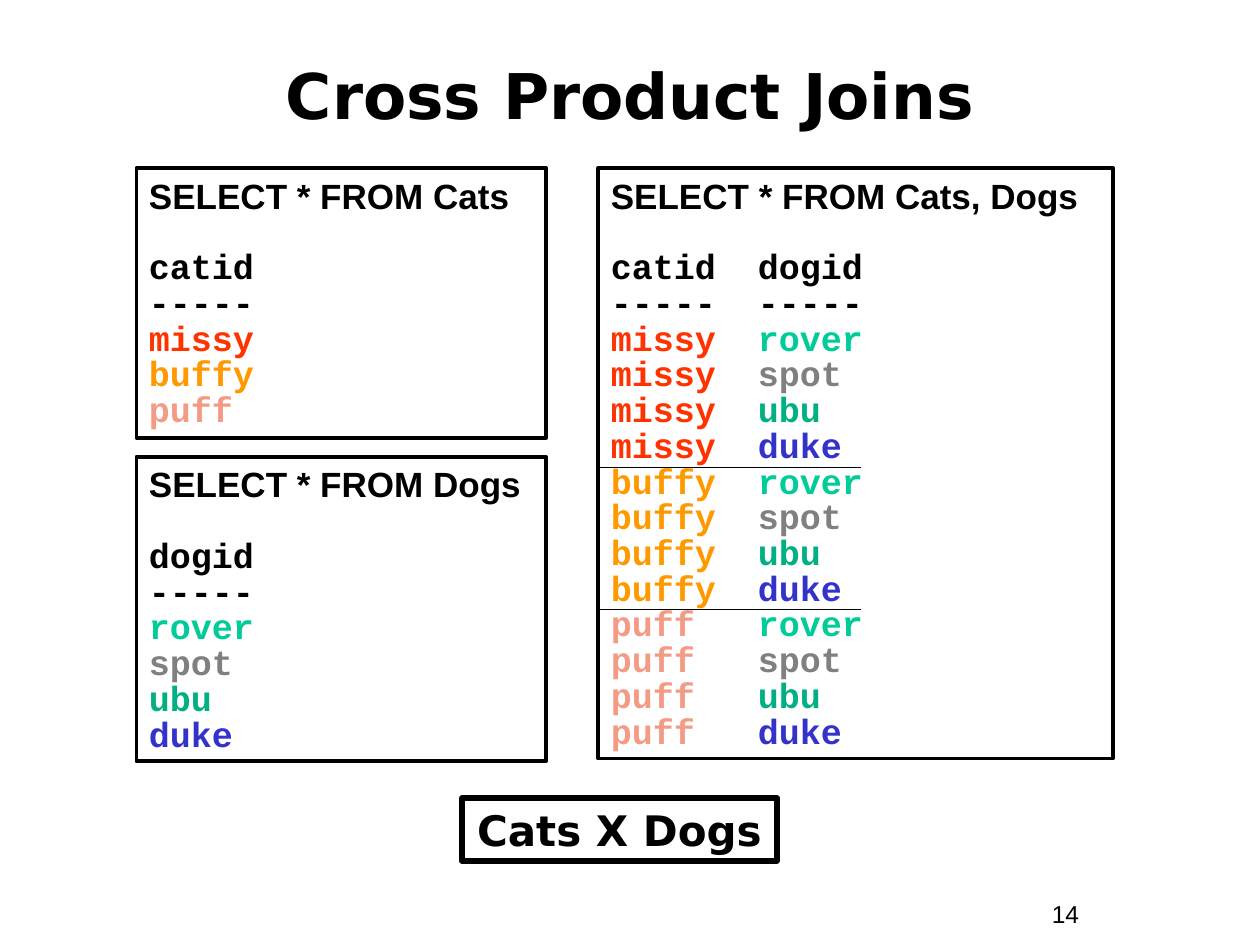
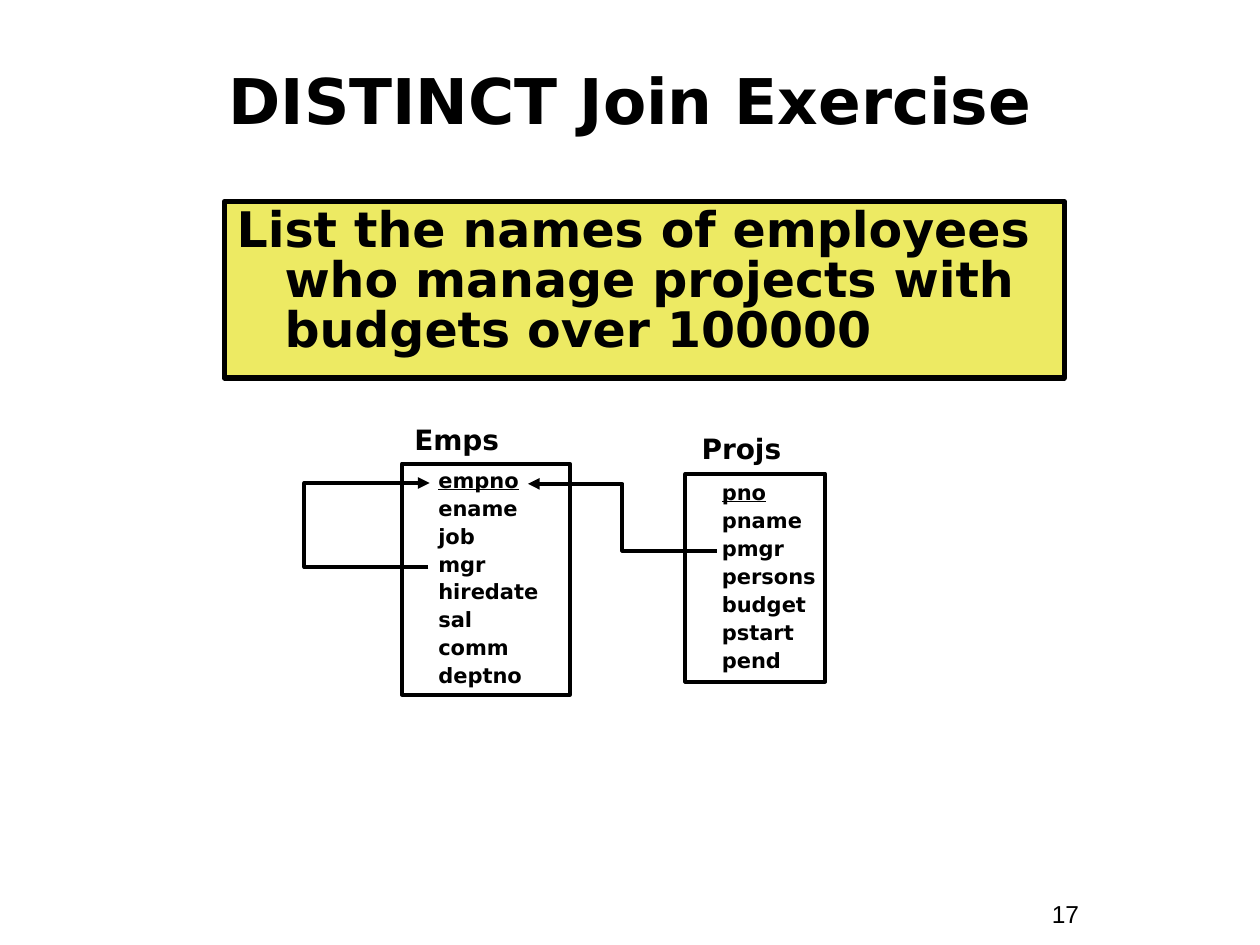
import itertools

import pptx
import pptx.dml.color
import pptx.enum.shapes
import pptx.enum.text
import pptx.oxml
import pptx.oxml.ns
import pptx.util

RGBColor = pptx.dml.color.RGBColor
BLACK = RGBColor(0x00, 0x00, 0x00)
YELLOW = RGBColor(0xED, 0xEA, 0x63)
RED = RGBColor(0xFF, 0x33, 0x00)
ORANGE = RGBColor(0xFF, 0x99, 0x00)
SALMON = RGBColor(0xF4, 0x9B, 0x86)
MINT = RGBColor(0x00, 0xCC, 0x99)
GRAY = RGBColor(0x80, 0x80, 0x80)
GREEN = RGBColor(0x00, 0xB0, 0x82)
BLUE = RGBColor(0x33, 0x33, 0xCC)

COLS, ROWS = 120, 90
CATS = [("missy", RED), ("buffy", ORANGE), ("puff", SALMON)]
DOGS = [("rover", MINT), ("spot", GRAY), ("ubu", GREEN), ("duke", BLUE)]

Pt = pptx.util.Pt
Inches = pptx.util.Inches
ALIGN = pptx.enum.text.PP_ALIGN
ANCHOR = pptx.enum.text.MSO_ANCHOR
CONNECTOR = pptx.enum.shapes.MSO_CONNECTOR

TITLE = {"name": "DejaVu Sans", "size": Pt(36), "bold": True}
PROMPT = {**TITLE, "size": Pt(28)}
CAPTION = {**TITLE, "size": Pt(24)}
LABEL = {**TITLE, "size": Pt(16)}
FIELD = {**TITLE, "size": Pt(12), "underline": False}
KEY = {**FIELD, "underline": True}
QUERY = {"name": "Arial", "size": Pt(20), "bold": True}
CODE = {**QUERY, "name": "Courier New"}
NUMBER = {"name": "Arial", "size": Pt(14)}


def apply(obj, values):
    for key, value in values.items():
        setattr(obj, key, value)


class Deck:
    def __init__(self):
        self.prs = pptx.Presentation()
        self.prs.slide_width = Inches(10)
        self.prs.slide_height = Inches(7.5)

    def x(self, col):
        return round(self.prs.slide_width * col / COLS)

    def y(self, row):
        return round(self.prs.slide_height * row / ROWS)

    def place(self, col, row, cols, rows):
        return self.x(col), self.y(row), self.x(cols), self.y(rows)

    def slide(self, title, number, row, rows):
        self.s = self.prs.slides.add_slide(self.prs.slide_layouts[5])
        sp = self.s.shapes.title
        apply(sp, dict(zip(("left", "top", "width", "height"), self.place(4, row, 112, rows))))
        self.frame(sp.text_frame, vertical_anchor=ANCHOR.MIDDLE)
        self.paragraph(sp.text_frame, [(title, BLACK)], TITLE, alignment=ALIGN.CENTER)
        self.text(99, 85, 11, 4, number, NUMBER)

    def frame(self, tf, **values):
        apply(tf, {
            "word_wrap": True, "auto_size": pptx.enum.text.MSO_AUTO_SIZE.NONE,
            "vertical_anchor": ANCHOR.TOP,
            "margin_left": Inches(0.1), "margin_right": Inches(0.1),
            "margin_top": Inches(0.05), "margin_bottom": Inches(0.05), **values,
        })

    def paragraph(self, tf, runs, font, indent=None, tab=None, **values):
        p = tf.paragraphs[0]
        if p.runs:
            p = tf.add_paragraph()
        pPr = p._p.get_or_add_pPr()
        if indent:
            pPr.set("marL", str(Inches(indent[0])))
            pPr.set("indent", str(Inches(indent[1])))
        if tab:
            tabs = pptx.oxml.parse_xml(
                f'<a:tabLst {pptx.oxml.ns.nsdecls("a")}><a:tab pos="{tab}" algn="l"/></a:tabLst>')
            pPr.append(tabs)
        apply(p, {"alignment": ALIGN.LEFT, **values})
        for text, color in runs:
            r = p.add_run()
            r.text = text
            apply(r.font, font)
            r.font.color.rgb = color

    def text(self, col, row, cols, rows, text, font, **values):
        sp = self.s.shapes.add_textbox(*self.place(col, row, cols, rows))
        self.frame(sp.text_frame)
        self.paragraph(sp.text_frame, [(text, BLACK)], font, **values)

    def box(self, col, row, cols, rows, line=2.25, fill=None, **values):
        sp = self.s.shapes.add_shape(
            pptx.enum.shapes.MSO_SHAPE.RECTANGLE, *self.place(col, row, cols, rows))
        sp.shadow.inherit = False
        if fill is None:
            sp.fill.background()
        else:
            sp.fill.solid()
            sp.fill.fore_color.rgb = fill
        sp.line.color.rgb = BLACK
        sp.line.width = Pt(line)
        self.frame(sp.text_frame, **values)
        return sp.text_frame

    def listing(self, col, row, cols, rows, query, heads, records):
        tf = self.box(col, row, cols, rows)
        self.paragraph(tf, [(query, BLACK)], QUERY)
        lines = [[(head, BLACK) for head in heads], [("-----", BLACK) for _ in heads], *records]
        for i, cells in enumerate(lines):
            runs = [(text if j == 0 else "\t" + text, color)
                    for j, (text, color) in enumerate(cells)]
            self.paragraph(tf, runs, CODE, tab=Pt(84) if len(cells) > 1 else None,
                           line_spacing=0.85, space_before=Pt(0 if i else 20))

    def entity(self, col, row, cols, rows, fields):
        tf = self.box(col, row, cols, rows, vertical_anchor=ANCHOR.MIDDLE, margin_right=0)
        for i, field in enumerate(fields):
            self.paragraph(tf, [(field, BLACK)], FIELD if i else KEY, indent=(0.19, 0),
                           line_spacing=0.9, space_before=Pt(3 if i else 0))

    def line(self, x1, y1, x2, y2, width, kind=CONNECTOR.STRAIGHT):
        c = self.s.shapes.add_connector(kind, self.x(x1), self.y(y1), self.x(x2), self.y(y2))
        c.line.color.rgb = BLACK
        c.line.width = Pt(width)
        c._element.spPr.append(
            pptx.oxml.parse_xml(f'<a:effectLst {pptx.oxml.ns.nsdecls("a")}/>'))
        return c

    def elbow(self, x1, y1, x2, y2, bend, arrow):
        c = self.line(x1, y1, x2, y2, 2.25, CONNECTOR.ELBOW)
        ns = pptx.oxml.ns.nsdecls("a")
        adjust = round((bend - x1) / (x2 - x1) * 100000)
        c._element.spPr.find(".//" + pptx.oxml.ns.qn("a:avLst")).append(
            pptx.oxml.parse_xml(f'<a:gd {ns} name="adj1" fmla="val {adjust}"/>'))
        c.line._get_or_add_ln().append(
            pptx.oxml.parse_xml(f'<a:{arrow} {ns} type="triangle"/>'))


def main():
    deck = Deck()

    deck.slide("Cross Product Joins", "14", 4, 10)
    deck.listing(13, 16, 39, 25.7, "SELECT * FROM Cats", ["catid"], [[cat] for cat in CATS])
    deck.listing(13, 43.5, 39, 29, "SELECT * FROM Dogs", ["dogid"], [[dog] for dog in DOGS])
    deck.listing(57, 16, 49, 56.25, "SELECT * FROM Cats, Dogs", ["catid", "dogid"],
                 itertools.product(CATS, DOGS))
    tf = deck.box(44, 76, 30, 6, line=3)
    deck.paragraph(tf, [("Cats X Dogs", BLACK)], CAPTION, alignment=ALIGN.CENTER)
    for row in (44.5, 58):
        deck.line(57, row, 82, row, 0.25)

    deck.slide("DISTINCT Join Exercise", "17", 6, 7)
    tf = deck.box(21.36, 19.2, 80, 16.8, line=3, fill=YELLOW)
    prompt = "List the names of employees who manage projects with budgets over 100000"
    deck.paragraph(tf, [(prompt, BLACK)], PROMPT, indent=(0.38, -0.38), line_spacing=0.85)
    deck.entity(38.28, 44.16, 16, 22,
                ["empno", "ename", "job", "mgr", "hiredate", "sal", "comm", "deptno"])
    deck.entity(65.28, 45.12, 13.32, 19.8,
                ["pno", "pname", "pmgr", "persons", "budget", "pstart", "pend"])
    for col, row, name in ((38.28, 40, "Emps"), (65.64, 40.92, "Projs")):
        deck.text(col, row, 16.32, 4.08, name, LABEL, line_spacing=0.9)
    deck.elbow(50.28, 46.08, 68.28, 52.44, 59.28, "headEnd")
    deck.elbow(40.8, 54, 40.92, 46, 28.8, "tailEnd")

    deck.prs.save("out.pptx")


if __name__ == "__main__":
    main()
